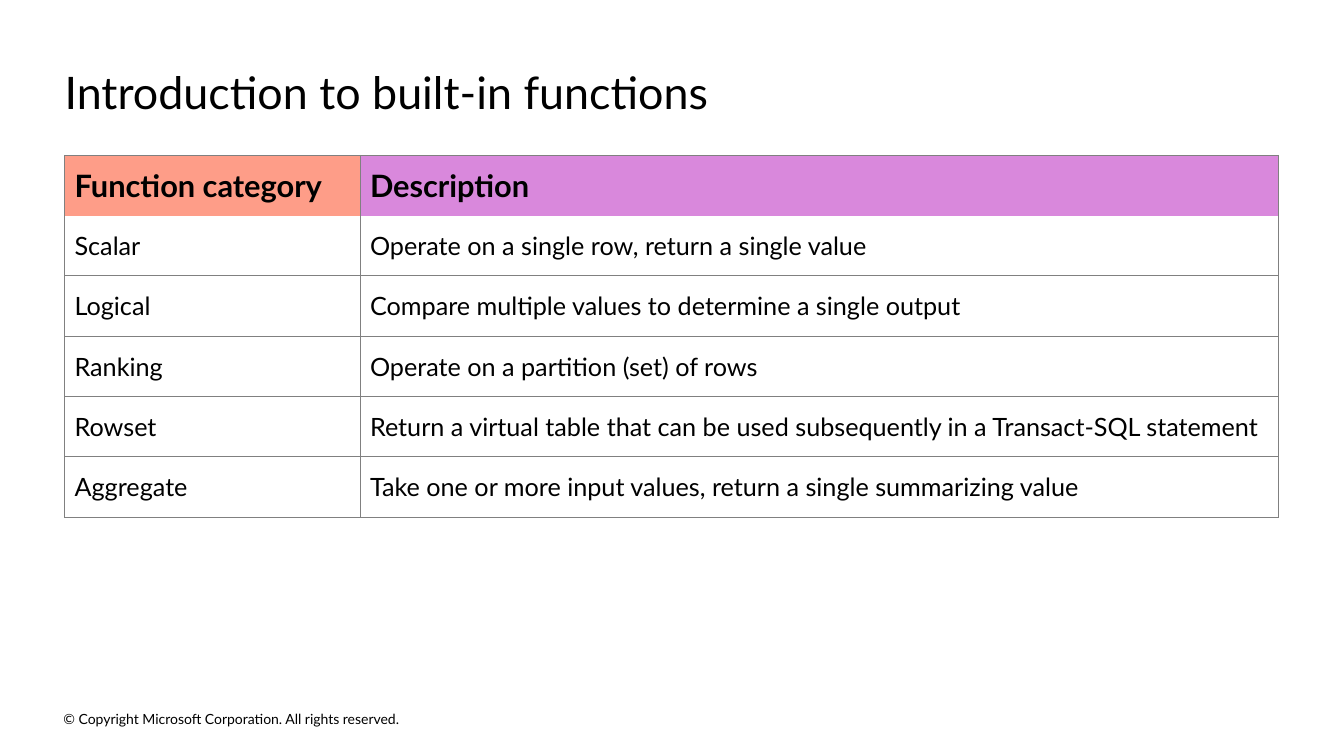
import pptx
import pptx.dml.color
import pptx.enum.text
import pptx.oxml
import pptx.oxml.ns
import pptx.util
from pptx.util import Inches

FONT = "Lato"
BORDER = "808080"
HEADER_FILLS = ["FE9D88", "D988DC"]
ROWS = [
    ("Function category", "Description"),
    ("Scalar", "Operate on a single row, return a single value"),
    ("Logical", "Compare multiple values to determine a single output"),
    ("Ranking", "Operate on a partition (set) of rows"),
    ("Rowset", "Return a virtual table that can be used subsequently in a Transact-SQL statement"),
    ("Aggregate", "Take one or more input values, return a single summarizing value"),
]


def color(value):
    return pptx.dml.color.RGBColor.from_string(value)


def write_text(frame, text, size, bold=False, anchor="MIDDLE", inset=None):
    """Fill a text frame with one left-aligned paragraph; inset sets all four margins."""
    frame.word_wrap = True
    frame.vertical_anchor = pptx.enum.text.MSO_ANCHOR[anchor]
    if inset is not None:
        frame.margin_left = frame.margin_right = Inches(inset)
        frame.margin_top = frame.margin_bottom = Inches(inset)
    para = frame.paragraphs[0]
    para.alignment = pptx.enum.text.PP_ALIGN.LEFT
    span = para.add_run()
    span.text = text
    span.font.name = FONT
    span.font.size = pptx.util.Pt(size)
    span.font.bold = bold
    span.font.color.rgb = color("000000")


deck = pptx.Presentation()
deck.slide_width = Inches(13.33)
deck.slide_height = Inches(7.5)
page = deck.slides.add_slide(deck.slide_layouts[5])

title = page.shapes.title
title.left, title.top = Inches(0.64), Inches(0.64)
title.width, title.height = Inches(12.04), Inches(0.54)
write_text(title.text_frame, "Introduction to built-in functions", size=32, anchor="TOP", inset=0)

copyright_box = page.shapes.add_textbox(Inches(0.63), Inches(7.02), Inches(4.54), Inches(0.22))
write_text(copyright_box.text_frame, "© Copyright Microsoft Corporation. All rights reserved.",
           size=10, inset=0)

table = page.shapes.add_table(len(ROWS), 2, Inches(0.64), Inches(1.54),
                              Inches(12.04), Inches(3.59)).table
table.horz_banding = False
table.columns[0].width = Inches(2.93)
table.columns[1].width = Inches(9.11)

for row_index, texts in enumerate(ROWS):
    is_header = row_index == 0
    # No line separates the header from the first body row.
    open_side = {0: "lnB", 1: "lnT"}.get(row_index)
    for column_index, text in enumerate(texts):
        cell = table.cell(row_index, column_index)
        cell.vertical_anchor = pptx.enum.text.MSO_ANCHOR.MIDDLE
        cell.fill.solid()
        cell.fill.fore_color.rgb = color(HEADER_FILLS[column_index] if is_header else "FFFFFF")
        write_text(cell.text_frame, text, size=22 if is_header else 18, bold=is_header)

        properties = cell._tc.get_or_add_tcPr()
        for position, side in enumerate(["lnL", "lnR", "lnT", "lnB"]):
            paint = ("<a:noFill/>" if side == open_side else
                     f'<a:solidFill><a:srgbClr val="{BORDER}"/></a:solidFill>')
            line = pptx.oxml.parse_xml(
                f'<a:{side} {pptx.oxml.ns.nsdecls("a")} w="{pptx.util.Pt(0.5)}">{paint}</a:{side}>')
            properties.insert(position, line)

deck.save("out.pptx")
